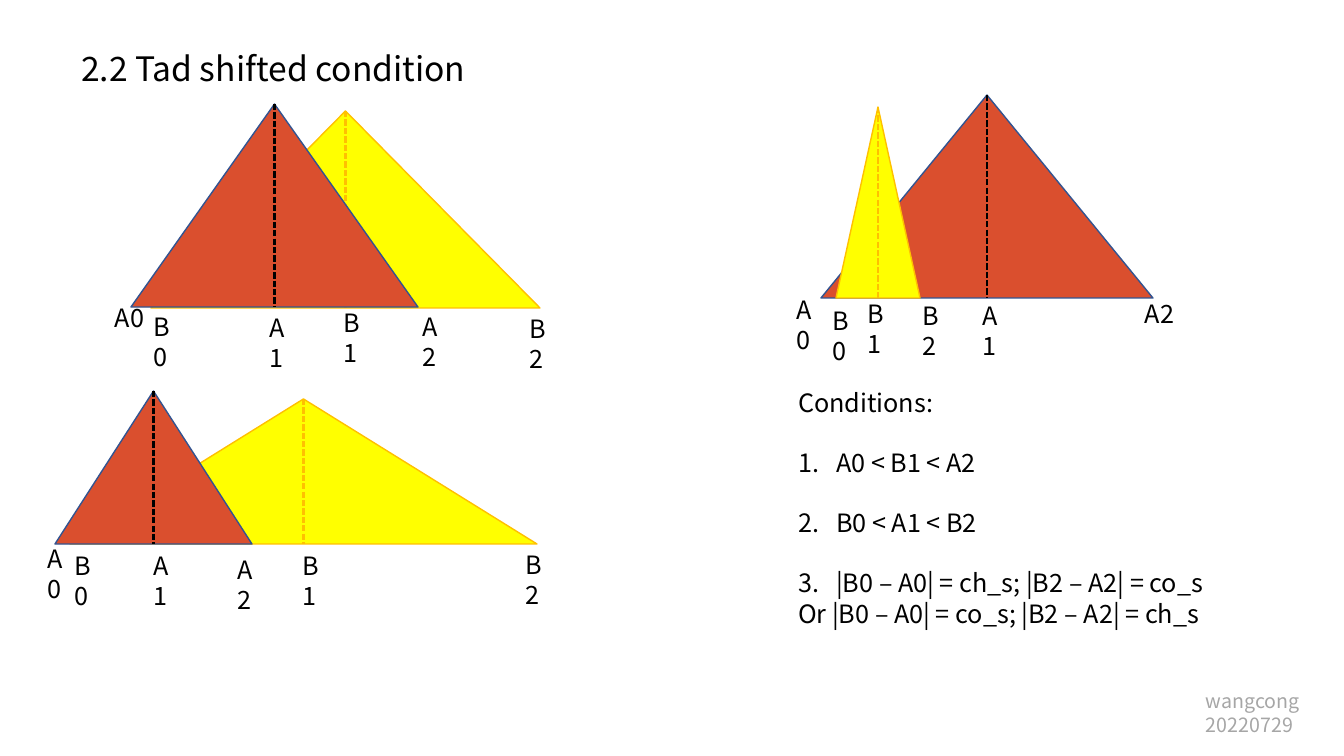
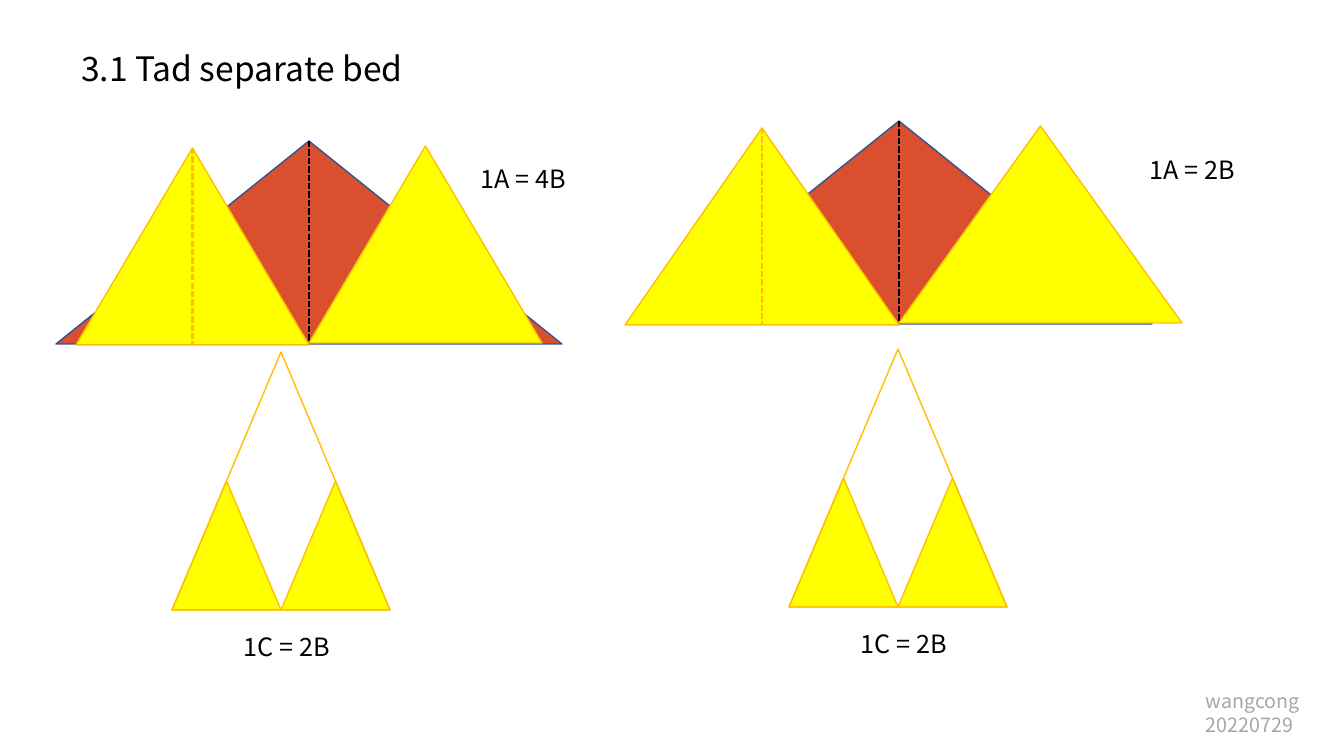
from collections import namedtuple

import pptx
import pptx.dml.color
import pptx.enum.dml
import pptx.enum.shapes
import pptx.enum.text
import pptx.oxml.ns
import pptx.util
from lxml import etree

EMU_PER_PIXEL = 914400 / 100.8
FONT = "Noto Sans CJK SC"
BLACK, GRAY = "000000", "A6A6A6"
LABEL_SIZE = 18
STACKED, INLINE = 37, 52  # label widths: one character a line, or both on one line

Box = namedtuple("Box", "left top width height")
Style = namedtuple("Style", "fill outline altitude")
RED = Style("DA4F2E", "325491", BLACK)
YELLOW = Style("FFFF00", "FFC000", "FFC000")
HOLLOW = YELLOW._replace(fill=None)


def px(length):
    """Turn pixels into EMU."""
    return pptx.util.Emu(round(length * EMU_PER_PIXEL))


def rgb(value):
    """Turn a hex string into a colour."""
    return pptx.dml.color.RGBColor.from_string(value)


def place(shape, box):
    """Move and size a shape to a box."""
    shape.left, shape.top, shape.width, shape.height = map(px, box)


def write(shape, text, size=LABEL_SIZE, color=BLACK):
    """Fill a shape with left-aligned text from its top edge."""
    frame = shape.text_frame
    frame.text = text
    frame.word_wrap = True
    frame.auto_size = pptx.enum.text.MSO_AUTO_SIZE.SHAPE_TO_FIT_TEXT
    frame.vertical_anchor = pptx.enum.text.MSO_ANCHOR.TOP
    for paragraph in frame.paragraphs:
        paragraph.alignment = pptx.enum.text.PP_ALIGN.LEFT
        paragraph.space_before = pptx.util.Pt(0)
        for run in paragraph.runs:
            run.font.name = FONT
            run.font.size = pptx.util.Pt(size)
            run.font.color.rgb = rgb(color)


def add_text(slide, box, text, size=LABEL_SIZE, color=BLACK):
    """Add a text box."""
    write(slide.shapes.add_textbox(*map(px, box)), text, size, color)


def add_altitude(slide, box, color):
    """Draw the dashed line from the apex of a triangle to its base."""
    middle = box.left + box.width / 2
    line = slide.shapes.add_connector(
        pptx.enum.shapes.MSO_CONNECTOR.STRAIGHT,
        px(middle), px(box.top), px(middle), px(box.top + box.height))
    line.line.color.rgb = rgb(color)
    line.line.width = pptx.util.Pt(1.5)
    line.line.dash_style = pptx.enum.dml.MSO_LINE.SQUARE_DOT
    properties = line._element.spPr
    etree.SubElement(properties, pptx.oxml.ns.qn("a:effectLst"))


def add_triangle(slide, box, style, altitude=True):
    """Draw a triangle, with its altitude if wanted."""
    triangle = slide.shapes.add_shape(
        pptx.enum.shapes.MSO_SHAPE.ISOSCELES_TRIANGLE, *map(px, box))
    triangle.shadow.inherit = False
    if style.fill:
        triangle.fill.solid()
        triangle.fill.fore_color.rgb = rgb(style.fill)
    else:
        triangle.fill.background()
    triangle.line.color.rgb = rgb(style.outline)
    triangle.line.width = pptx.util.Pt(1)
    if altitude:
        add_altitude(slide, box, style.altitude)


def add_page(presentation, layout, title):
    """Add a slide with its title and the signature in the corner."""
    slide = presentation.slides.add_slide(presentation.slide_layouts.get_by_name(layout))
    place(slide.shapes.title, Box(71, 43, 407, 50))
    write(slide.shapes.title, title, 24)
    add_text(slide, Box(1196, 684, 148, 57), "wangcong\n20220729", 14, GRAY)
    return slide


def add_shifted_pair(slide, left, top, triangles, labels):
    """Draw overlapping triangles and corner labels, offset from one corner."""
    for style, (dx, dy, width, height) in triangles:
        add_triangle(slide, Box(left + dx, top + dy, width, height), style)
    for text, dx, dy, width in labels:
        add_text(slide, Box(left + dx, top + dy, width, 40), text)


def add_conditions(slide, box):
    """Write the heading and the numbered conditions in the body placeholder."""
    body = slide.placeholders[1]
    place(body, box)
    write(body, "Conditions:\nA0 < B1 < A2\nB0 < A1 < B2\n"
                "|B0 – A0| = ch_s; |B2 – A2| = co_s\n"
                "Or |B0 – A0| = co_s; |B2 – A2| = ch_s")
    for index, paragraph in enumerate(body.text_frame.paragraphs):
        numbered = 1 <= index <= 3
        indent = px(38) if numbered else 0
        properties = paragraph._p.get_or_add_pPr()
        properties.set("marL", str(indent))
        properties.set("indent", str(-indent))
        if numbered:
            paragraph.space_before = px(30)
            etree.SubElement(properties, pptx.oxml.ns.qn("a:buFont"), typeface=FONT)
            etree.SubElement(properties, pptx.oxml.ns.qn("a:buAutoNum"), type="arabicPeriod")
        else:
            etree.SubElement(properties, pptx.oxml.ns.qn("a:buNone"))


def add_bed(slide, box, left_width, right_width):
    """Draw a red triangle with two yellow ones meeting at its middle."""
    middle = box.left + box.width // 2
    add_triangle(slide, box, RED)
    add_triangle(slide, Box(middle - left_width, box.top + 7, left_width, 197), YELLOW)
    add_triangle(slide, Box(middle, box.top + 5, right_width, 197), YELLOW, altitude=False)


def add_split(slide, box, caption):
    """Draw a hollow triangle holding two half-size ones, and its caption."""
    width, height = box.width // 2, box.height // 2
    for column in range(2):
        half = Box(box.left + column * width, box.top + height, width, height)
        add_triangle(slide, half, YELLOW, altitude=False)
    add_triangle(slide, box, HOLLOW, altitude=False)
    add_text(slide, Box(box.left + 62, box.top + box.height + 16, 148, 40), caption)


def build_shifted(presentation):
    """Build the slide on the shifted condition."""
    slide = add_page(presentation, "Title and Content", "2.2 Tad shifted condition")
    add_shifted_pair(
        slide, 131, 104,
        [(YELLOW, (20, 7, 389, 197)), (RED, (0, 0, 287, 203))],
        [("B0", 13, 202, STACKED), ("B1", 203, 198, STACKED), ("B2", 389, 204, STACKED),
         ("A0", -26, 193, INLINE), ("A1", 129, 203, STACKED), ("A2", 282, 202, STACKED)])
    add_shifted_pair(
        slide, 55, 391,
        [(YELLOW, (15, 8, 467, 145)), (RED, (0, 0, 197, 153))],
        [("B0", 10, 154, STACKED), ("B1", 238, 154, STACKED), ("B2", 461, 153, STACKED),
         ("A0", -17, 147, STACKED), ("A1", 89, 154, STACKED), ("A2", 173, 158, STACKED)])
    add_shifted_pair(
        slide, 821, 95,
        [(RED, (0, 0, 332, 203)), (YELLOW, (15, 12, 84, 191))],
        [("B0", 2, 205, STACKED), ("B1", 37, 198, STACKED), ("B2", 92, 200, STACKED),
         ("A0", -34, 194, STACKED), ("A1", 152, 200, STACKED), ("A2", 314, 198, INLINE)])
    add_conditions(slide, Box(788, 382, 486, 254))


def build_separate(presentation):
    """Build the slide on the separate bed."""
    slide = add_page(presentation, "Title Only", "3.1 Tad separate bed")
    add_bed(slide, Box(56, 141, 506, 203), 233, 233)
    add_text(slide, Box(471, 158, 148, 40), "1A = 4B")
    add_bed(slide, Box(646, 121, 506, 203), 274, 283)
    add_text(slide, Box(1140, 149, 148, 40), "1A = 2B")
    for left, top in ((172, 352), (789, 349)):
        add_split(slide, Box(left, top, 218, 258), "1C = 2B")


def main():
    """Build and save the presentation."""
    presentation = pptx.Presentation()
    presentation.slide_width, presentation.slide_height = px(1344), px(756)
    build_shifted(presentation)
    build_separate(presentation)
    presentation.save("out.pptx")


main()
